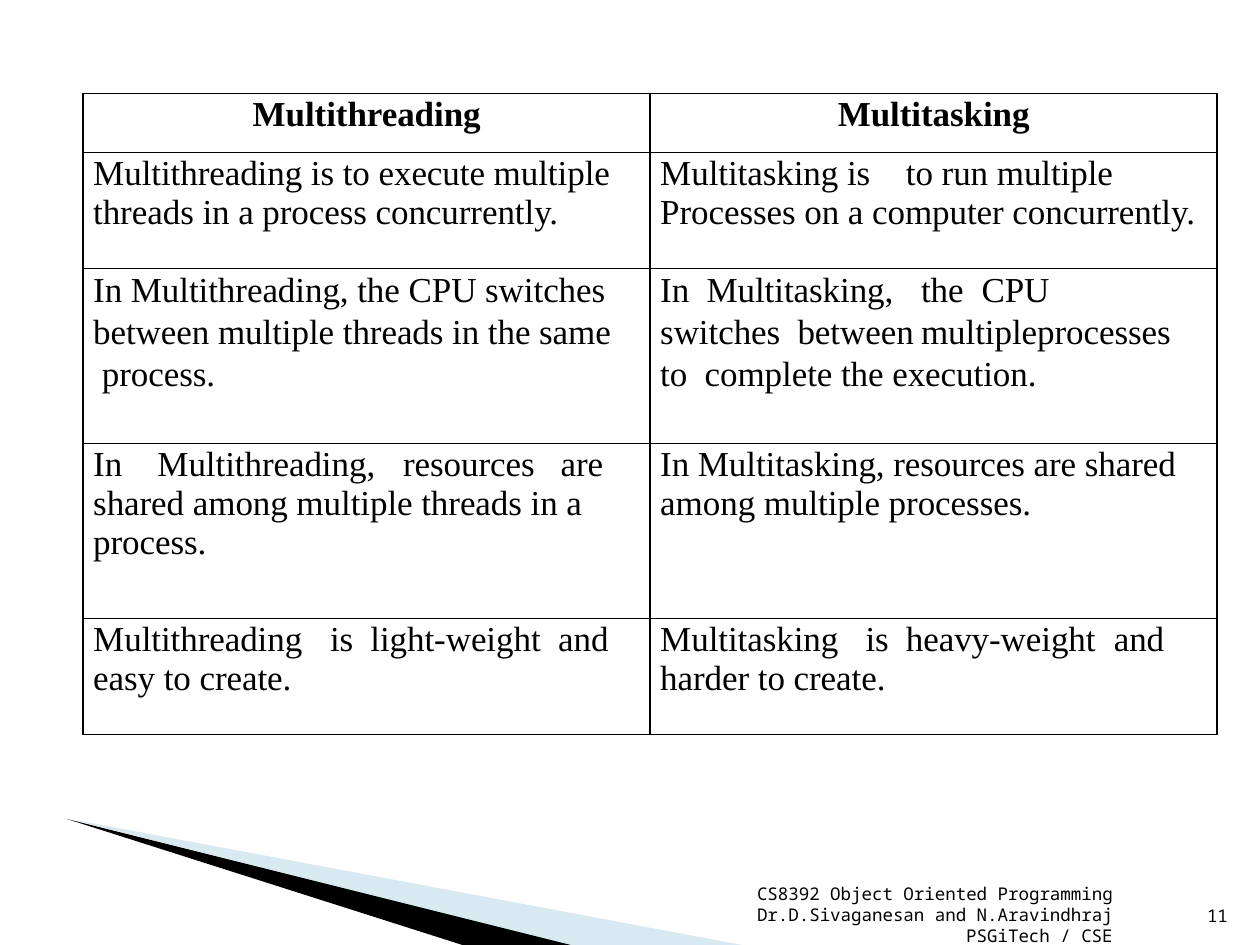
from dataclasses import dataclass

from lxml import etree
from pptx import Presentation
from pptx.dml.color import RGBColor
from pptx.enum.text import PP_ALIGN
from pptx.oxml.ns import qn
from pptx.util import Emu, Inches, Pt

LEFT, CENTER, RIGHT = PP_ALIGN.LEFT, PP_ALIGN.CENTER, PP_ALIGN.RIGHT
COLORS = {"ink": "000000", "wedge": "9FCADC"}
TABLE_FONT, FOOTER_FONT = "Times New Roman", "Noto Sans Mono"
TABLE_LEFT, TABLE_TOP, COLUMN_WIDTH = 0.66, 0.74, 4.5
CELL_INDENT = 0.08
TABLE_TRACKING = -5  # hundredths of a point


@dataclass(frozen=True)
class Entry:
    lines: tuple[str, ...]
    tabs: tuple[float, ...] = ()
    align: PP_ALIGN = LEFT
    bold: bool = False


@dataclass(frozen=True)
class Row:
    height: float
    first_line: float
    entries: tuple[Entry, Entry]


ROWS = (
    Row(0.47, 23.2, (
        Entry(("Multithreading",), align=CENTER, bold=True),
        Entry(("Multitasking",), align=CENTER, bold=True))),
    Row(0.92, 23.2, (
        Entry(("Multithreading is to execute multiple",
               "threads in a process concurrently.")),
        Entry(("Multitasking is\tto run multiple",
               "Processes on a computer concurrently."), (1.95,)))),
    Row(1.39, 24, (
        Entry(("In Multithreading, the CPU switches \vbetween multiple threads "
               "in the same \v process.",)),
        Entry(("In  Multitasking,\tthe\tCPU\vswitches  between\t"
               "multipleprocesses\vto  complete the execution.",),
              (1.21, 2.07, 2.55, 3.23, 3.4)))),
    Row(1.39, 23.3, (
        Entry(("In\tMultithreading,\tresources\tare",
               "shared among multiple threads in a", "process."),
              (0.51, 2.46, 3.71)),
        Entry(("In Multitasking, resources are shared",
               "among multiple processes.")))),
    Row(0.92, 23.4, (
        Entry(("Multithreading\tis\tlight-weight\tand", "easy to create."),
              (1.88, 2.2, 3.69)),
        Entry(("Multitasking\tis\theavy-weight\tand", "harder to create."),
              (1.63, 1.95, 3.6)))),
)


def rgb(name: str) -> RGBColor:
    return RGBColor.from_string(COLORS[name])


def format_runs(paragraph, font_name: str, size: float, bold: bool = False,
                tracking: int = 0) -> None:
    for run in paragraph.runs:
        run.font.name = font_name
        run.font.size = Pt(size)
        run.font.bold = bold
        run.font.color.rgb = rgb("ink")
        if tracking:
            run._r.get_or_add_rPr().set("spc", str(tracking))


def clear_margins(holder) -> None:
    holder.margin_left = holder.margin_right = 0
    holder.margin_top = holder.margin_bottom = 0


def set_indent_and_tabs(paragraph, indent: float, tabs: tuple[float, ...]) -> None:
    properties = paragraph._p.get_or_add_pPr()
    properties.set("marL", str(Inches(indent)))
    if tabs:
        tab_list = etree.SubElement(properties, qn("a:tabLst"))
        for position in tabs:
            etree.SubElement(tab_list, qn("a:tab"),
                             pos=str(Inches(position)), algn="l")


def add_borders(cell) -> None:
    properties = cell._tc.get_or_add_tcPr()
    for side in ("lnL", "lnR", "lnT", "lnB"):
        line = etree.SubElement(properties, qn(f"a:{side}"), w=str(Pt(1)))
        fill = etree.SubElement(line, qn("a:solidFill"))
        etree.SubElement(fill, qn("a:srgbClr"), val=COLORS["ink"])


def fill_cell(cell, entry: Entry, first_line: float) -> None:
    clear_margins(cell)
    add_borders(cell)
    cell.fill.background()
    cell.text_frame.text = "\n".join(entry.lines)
    for number, paragraph in enumerate(cell.text_frame.paragraphs):
        set_indent_and_tabs(paragraph, 0 if entry.align == CENTER else CELL_INDENT,
                            entry.tabs if number == 0 else ())
        paragraph.alignment = entry.align
        if number == 0:
            paragraph.line_spacing = Pt(first_line)
        format_runs(paragraph, TABLE_FONT, 20, entry.bold, TABLE_TRACKING)


def add_comparison_table(slide) -> None:
    height = sum(row.height for row in ROWS)
    table = slide.shapes.add_table(
        len(ROWS), 2, Inches(TABLE_LEFT), Inches(TABLE_TOP),
        Inches(2 * COLUMN_WIDTH), Inches(height)).table
    table.first_row = table.horz_banding = False
    for column in table.columns:
        column.width = Inches(COLUMN_WIDTH)
    for row_index, row in enumerate(ROWS):
        table.rows[row_index].height = Inches(row.height)
        for column_index, entry in enumerate(row.entries):
            fill_cell(table.cell(row_index, column_index), entry, row.first_line)


def add_wedge(slide, points: tuple[tuple[float, float], ...], color: str,
              opacity: int = 100) -> None:
    corners = [(Inches(x), Inches(y)) for x, y in points]
    builder = slide.shapes.build_freeform(*corners[0])
    builder.add_line_segments(corners[1:], close=True)
    shape = builder.convert_to_shape(Emu(0), Emu(0))
    shape.shadow.inherit = False
    shape.line.fill.background()
    shape.fill.solid()
    shape.fill.fore_color.rgb = rgb(color)
    if opacity < 100:
        color_element = shape._element.spPr.find(
            f"{qn('a:solidFill')}/{qn('a:srgbClr')}")
        etree.SubElement(color_element, qn("a:alpha"), val=str(opacity * 1000))


def add_footer(slide, left: float, top: float, width: float, height: float,
               text: str, align: PP_ALIGN) -> None:
    box = slide.shapes.add_textbox(*map(Inches, (left, top, width, height)))
    text_frame = box.text_frame
    clear_margins(text_frame)
    text_frame.margin_top = Inches(0.02)
    text_frame.word_wrap = True
    text_frame.text = text
    for paragraph in text_frame.paragraphs:
        paragraph.alignment = align
        format_runs(paragraph, FOOTER_FONT, 10)


def main() -> None:
    presentation = Presentation()
    presentation.slide_width, presentation.slide_height = Inches(10), Inches(7.5)
    slide = presentation.slides.add_slide(presentation.slide_layouts[6])
    add_wedge(slide, ((0.55, 6.5), (4.51, 7.5), (5.89, 7.5)), "wedge", 40)
    add_wedge(slide, ((0.53, 6.5), (3.67, 7.5), (4.53, 7.5)), "ink")
    add_footer(slide, 5.21, 6.99, 3.62, 0.36,
               "CS8392 Object Oriented Programming\n"
               "Dr.D.Sivaganesan and N.Aravindhraj\nPSGiTech / CSE", RIGHT)
    add_footer(slide, 9.58, 7.16, 0.2, 0.2, "11", LEFT)
    add_comparison_table(slide)
    presentation.save("out.pptx")


if __name__ == "__main__":
    main()
